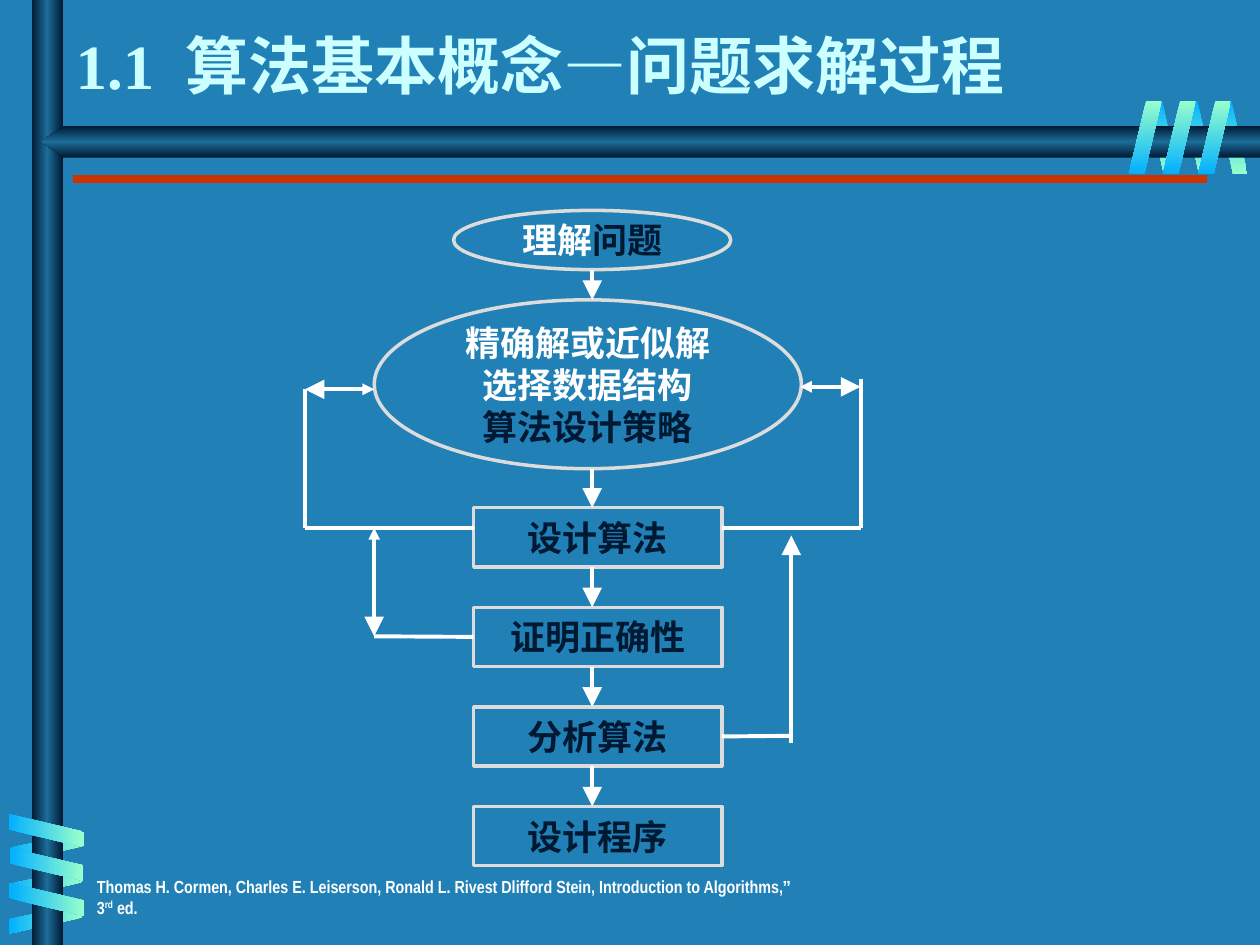
"""Build the problem-solving flowchart slide."""
from typing import NamedTuple, Optional

from lxml.etree import SubElement
from pptx import Presentation
from pptx.dml.color import RGBColor
from pptx.enum.shapes import MSO_CONNECTOR, MSO_SHAPE
from pptx.enum.text import MSO_ANCHOR, PP_ALIGN
from pptx.oxml.ns import qn
from pptx.util import Inches, Pt

BLUE = RGBColor(0x21, 0x81, 0xB7)
NAVY = RGBColor(0x00, 0x19, 0x32)
STEEL = RGBColor(0x1C, 0x6D, 0x9A)
SKY = RGBColor(0x01, 0xB0, 0xFF)
MINT = RGBColor(0x99, 0xFF, 0xCC)
ICE = RGBColor(0xCC, 0xFF, 0xFF)
RED = RGBColor(0xCC, 0x33, 0x00)
GREY = RGBColor(0xDC, 0xDC, 0xDC)
WHITE = RGBColor(0xFF, 0xFF, 0xFF)

AXIS = 4.7
STEP_TOP, STEP_PITCH, STEP_HEIGHT = 4.03, 0.79, 0.47
STEP_LEFT, STEP_WIDTH = 3.76, 1.97
STEP_RIGHT = STEP_LEFT + STEP_WIDTH


class Box(NamedTuple):
    left: float
    top: float
    width: float
    height: float


class Span(NamedTuple):
    text: str
    color: RGBColor


class Node(NamedTuple):
    kind: MSO_SHAPE
    box: Box
    lines: list
    font: str = "Arial"


class Link(NamedTuple):
    x1: float
    y1: float
    x2: float
    y2: float
    head: Optional[str] = None
    tail: Optional[str] = None


class Ribbon(NamedTuple):
    places: list
    width: float
    rotation: int
    flip: bool
    angle: int
    colors: tuple


BARS = (NAVY, STEEL, NAVY)
BACK_RIBBONS = [
    Ribbon([(9.66, 0.8), (9.39, 0.8), (9.11, 0.8)], 0.24, 180, True, 90, (SKY, MINT)),
    Ribbon([(0.26, 6.43), (0.24, 6.72), (0.24, 7)], 0.24, 90, True, 0, (MINT, SKY)),
]
FRONT_RIBBONS = [
    Ribbon([(0.23, 6.3), (0.24, 6.57), (0.25, 6.85)], 0.26, 270, False, 0, (SKY, MINT)),
    Ribbon([(9.51, 0.8), (9.23, 0.8), (8.96, 0.8)], 0.26, 0, False, 90, (MINT, SKY)),
]
STEPS = [("设计算法", "Arial"), ("证明正确性", "Cabin"),
         ("分析算法", "Cabin"), ("设计程序", "Cabin")]
NODES = [
    Node(MSO_SHAPE.OVAL, Box(3.6, 1.67, 2.2, 0.47),
         [[Span("理解", WHITE), Span("问题", NAVY)]]),
    Node(MSO_SHAPE.OVAL, Box(2.97, 2.38, 3.39, 1.34),
         [[Span("精确解或近似解", WHITE)], [Span("选择数据结构", WHITE)],
          [Span("算法设计策略", NAVY)]]),
] + [
    Node(MSO_SHAPE.RECTANGLE,
         Box(STEP_LEFT, STEP_TOP + i * STEP_PITCH, STEP_WIDTH, STEP_HEIGHT),
         [[Span(text, NAVY)]], font)
    for i, (text, font) in enumerate(STEPS)
]
FEEDBACK = [
    Link(2.97, 3.09, 2.42, 3.09, "med", "lg"),
    Link(2.42, 3.09, 2.42, 4.19),
    Link(2.42, 4.19, STEP_LEFT, 4.19),
    Link(6.35, 3.07, 6.83, 3.07, "med", "lg"),
    Link(6.83, 3.01, 6.83, 4.19),
    Link(6.83, 4.19, STEP_RIGHT, 4.19),
    Link(6.28, 5.9, 6.28, 4.25, tail="lg"),
    Link(2.97, 4.19, 2.97, 5.05, "med", "lg"),
]


def add_text(p, text: str, *, size: float, font: str, color: RGBColor, **attrs: str) -> None:
    r = p.add_run()
    r.text = text
    r.font.size, r.font.name, r.font.bold = Pt(size), font, True
    r.font.color.rgb = color
    for name, value in attrs.items():
        r.font._element.set(name, value)


def add_shape(s, kind: MSO_SHAPE, box: Box):
    sp = s.shapes.add_shape(kind, *map(Inches, box))
    sp.shadow.inherit = False
    return sp


def add_gradient_shape(s, kind: MSO_SHAPE, box: Box, colors: tuple, angle: int,
                       adj: Optional[float] = None, flip: bool = False):
    sp = add_shape(s, kind, box)
    sp.line.fill.background()
    sp.fill.gradient()
    sp.fill.gradient_angle = -angle % 360
    grad = sp.element.spPr.find(qn("a:gradFill"))
    grad.set("rotWithShape", "0")
    stops = grad.find(qn("a:gsLst"))
    for old in list(stops):
        stops.remove(old)
    for i, color in enumerate(colors):
        stop = SubElement(stops, qn("a:gs"), pos=str(100000 * i // (len(colors) - 1)))
        SubElement(stop, qn("a:srgbClr"), val=str(color))
    if adj is not None:
        sp.adjustments[0] = adj
    if flip:
        sp.element.spPr.find(qn("a:xfrm")).set("flipH", "1")
    return sp


def add_ribbon(s, ribbon: Ribbon) -> None:
    for left, top in ribbon.places:
        sp = add_gradient_shape(s, MSO_SHAPE.PARALLELOGRAM, Box(left, top, ribbon.width, 0.58),
                                ribbon.colors, ribbon.angle, 0.53, ribbon.flip)
        sp.rotation = ribbon.rotation


def add_node(s, node: Node):
    sp = add_shape(s, node.kind, node.box)
    sp.fill.solid()
    sp.fill.fore_color.rgb = BLUE
    sp.line.color.rgb, sp.line.width = GREY, Pt(2)
    tf = sp.text_frame
    tf.word_wrap, tf.vertical_anchor = False, MSO_ANCHOR.MIDDLE
    for i, spans in enumerate(node.lines):
        p = tf.add_paragraph() if i else tf.paragraphs[0]
        p.alignment = PP_ALIGN.CENTER
        for span in spans:
            add_text(p, span.text, size=20, font=node.font, color=span.color)
    return sp


def add_link(s, link: Link, color: RGBColor = WHITE, width: float = 2.25):
    cx = s.shapes.add_connector(MSO_CONNECTOR.STRAIGHT, *map(Inches, link[:4]))
    cx.line.color.rgb, cx.line.width = color, Pt(width)
    ln = cx.line._get_or_add_ln()
    for tag, size in (("a:headEnd", link.head), ("a:tailEnd", link.tail)):
        if size:
            SubElement(ln, qn(tag), type="triangle", w=size, len=size)
    SubElement(cx._element.spPr, qn("a:effectLst"))
    return cx


def add_title(s) -> None:
    sp = s.shapes.title
    sp.left, sp.top, sp.width, sp.height = map(Inches, (0.5, 0, 9, 0.86))
    tf = sp.text_frame
    tf.vertical_anchor = MSO_ANCHOR.BOTTOM
    p = tf.paragraphs[0]
    p.alignment = PP_ALIGN.LEFT
    style = dict(size=36, color=ICE)
    add_text(p, "1.1", font="Times New Roman", **style)
    add_text(p, " ", font="Times New Roman", spc="900", **style)
    add_text(p, "算法基本概念", font="Times New Roman", **style)
    add_text(p, "—", font="Arial", **style)
    add_text(p, "问题求解过程", font="Times New Roman", **style)


def add_citation(s) -> None:
    tf = s.shapes.add_textbox(*map(Inches, (0.67, 6.9, 5.75, 0.33))).text_frame
    tf.word_wrap = True
    p = tf.paragraphs[0]
    style = dict(size=10, color=WHITE)
    add_text(p, "Thomas H. Cormen, Charles E. Leiserson, Ronald L. Rivest Dlifford Stein, "
             "Introduction to Algorithms,", font="Arial Narrow", **style)
    add_text(p, "”", font="Arial", **style)
    add_text(p, " 3", font="Arial Narrow", **style)
    add_text(p, "rd", font="Arial Narrow", baseline="30000", **style)
    add_text(p, " ed.", font="Arial Narrow", **style)


def main() -> None:
    prs = Presentation()
    prs.slide_width, prs.slide_height = Inches(10), Inches(7.5)
    s = prs.slides.add_slide(prs.slide_layouts[5])
    s.background.fill.solid()
    s.background.fill.fore_color.rgb = BLUE
    for ribbon in BACK_RIBBONS:
        add_ribbon(s, ribbon)
    add_gradient_shape(s, MSO_SHAPE.RECTANGLE, Box(0.25, 0, 0.25, 7.5), BARS, 0)
    add_gradient_shape(s, MSO_SHAPE.PENTAGON, Box(0.33, 1, 9.67, 0.25), BARS, 90, 0.68, True)
    for ribbon in FRONT_RIBBONS:
        add_ribbon(s, ribbon)
    add_citation(s)
    add_link(s, Link(0.58, 1.42, 9.58, 1.42), RED, 4.5)
    add_title(s)
    shapes = [add_node(s, node) for node in NODES]
    for upper, lower in zip(NODES, NODES[1:]):
        bottom = upper.box.top + upper.box.height
        add_link(s, Link(AXIS, bottom, AXIS, lower.box.top, tail="lg"))
    for link in FEEDBACK:
        add_link(s, link)
    add_link(s, Link(2.97, 5.05, STEP_LEFT, 5.05)).end_connect(shapes[3], 1)
    add_link(s, Link(STEP_RIGHT, 5.84, 6.28, 5.84)).begin_connect(shapes[4], 3)
    prs.save("out.pptx")


if __name__ == "__main__":
    main()
